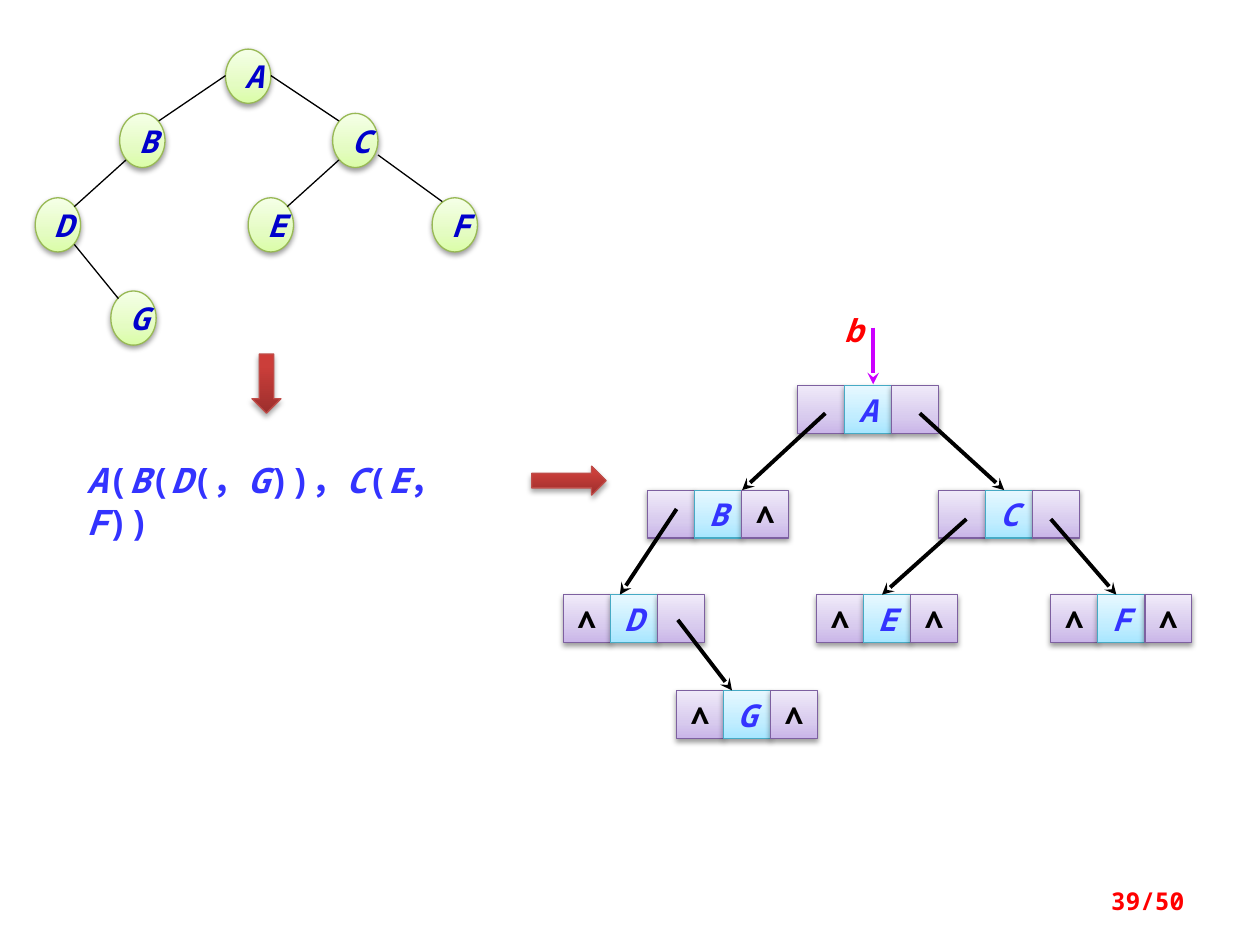
import itertools

import pptx
import pptx.dml.color
import pptx.enum.shapes
import pptx.enum.text
import pptx.oxml
import pptx.oxml.ns
import pptx.util

Inches, Pt = pptx.util.Inches, pptx.util.Pt
RGBColor = pptx.dml.color.RGBColor
MSO_SHAPE = pptx.enum.shapes.MSO_SHAPE
MSO_ANCHOR, PP_ALIGN = pptx.enum.text.MSO_ANCHOR, pptx.enum.text.PP_ALIGN
MSO_AUTO_SIZE = pptx.enum.text.MSO_AUTO_SIZE

FONT = "Noto Sans Mono"
BLACK = RGBColor(0x00, 0x00, 0x00)
RED = RGBColor(0xFF, 0x00, 0x00)
BLUE = RGBColor(0x33, 0x33, 0xFF)
NAVY = RGBColor(0x00, 0x00, 0xCC)
MAGENTA = RGBColor(0xCC, 0x00, 0xFF)
GREEN_LINE = RGBColor(0x98, 0xB9, 0x55)
PURPLE_LINE = RGBColor(0x7D, 0x60, 0xA0)
CYAN_LINE = RGBColor(0x46, 0xAA, 0xC5)
RED_LINE = RGBColor(0xBF, 0x4C, 0x48)


def stops(middle, *colours):
    """Pair three gradient colours with their positions in percent."""
    return list(zip((0, middle, 100), map(RGBColor.from_string, colours)))


# Each look: gradient stops, outline, shadow opacity (%), shadow distance (pt)
GREEN = (stops(35, "DAFDA7", "E4FCC2", "F5FFE7"), GREEN_LINE, 38, 1.6)
PURPLE = (stops(35, "C9B5E8", "D8CBEE", "F0EAF9"), PURPLE_LINE, 38, 1.6)
CYAN = (stops(35, "A7E6FF", "C1EDFF", "E7F8FF"), CYAN_LINE, 38, 1.6)
BRICK = (stops(80, "9C2F2D", "CB3E3A", "CE3B37"), RED_LINE, 35, 1.8)

CIRCLES = {"A": (1.79, 0.39), "G": (0.88, 2.31), "D": (0.28, 1.57), "F": (3.43, 1.57),
           "B": (0.95, 0.9), "E": (1.97, 1.57), "C": (2.64, 0.9)}
EDGES = [(0.59, 1.94, 0.94, 2.37), (1, 1.27, 0.59, 1.64), (3, 1.23, 3.51, 1.6),
         (2.69, 1.27, 2.28, 1.64), (1.79, 0.6, 1.26, 0.96), (2.15, 0.6, 2.69, 0.96)]

NULL = "\u2227"
CELL_W, CELL_H = 1.12 / 3, 0.38
# Left, top and the contents of the left link, data and right link cells
NODES = [(5.14, 3.89, ("", "B", NULL)), (4.47, 4.72, (NULL, "D", "")),
         (5.37, 5.48, (NULL, "G", NULL)), (7.45, 3.89, ("", "C", "")),
         (6.48, 4.72, (NULL, "E", NULL)), (8.34, 4.72, (NULL, "F", NULL)),
         (6.33, 3.06, ("", "A", ""))]
LINKS = [(5.37, 4.04, 4.92, 4.72), (7.67, 4.12, 7, 4.72), (8.34, 4.12, 8.86, 4.72),
         (6.55, 3.28, 5.89, 3.89), (7.3, 3.28, 7.97, 3.89)]


def xml(tag, body, attrs=""):
    """Parse one DrawingML element."""
    return pptx.oxml.parse_xml(
        f'<a:{tag} {pptx.oxml.ns.nsdecls("a")} {attrs}>{body}</a:{tag}>')


def style_run(r, size, colour, bold=True, italic=False):
    """Set the font of a run, for Latin and East Asian text."""
    f = r.font
    f.name, f.size, f.bold, f.italic = FONT, Pt(size), bold, italic
    f.color.rgb = colour
    r._r.get_or_add_rPr().find(pptx.oxml.ns.qn("a:latin")).addnext(
        xml("ea", "", f'typeface="{FONT}"'))


def write(sp, text, size, colour, italic=False, align=PP_ALIGN.CENTER):
    """Put one aligned paragraph in a shape."""
    p = sp.text_frame.paragraphs[0]
    p.text, p.alignment = text, align
    style_run(p.runs[0], size, colour, italic=italic)


def add_box(parent, kind, x, y, w, h, look):
    """Add a preset shape with gradient, outline and soft shadow."""
    gradient, outline, opacity, distance = look
    sp = parent.shapes.add_shape(kind, Inches(x), Inches(y), Inches(w), Inches(h))
    sp.fill.gradient()
    fill = sp._element.spPr.find(pptx.oxml.ns.qn("a:gradFill"))
    marks = "".join(f'<a:gs pos="{pos * 1000}"><a:srgbClr val="{c}"/></a:gs>'
                    for pos, c in gradient)
    fill.getparent().replace(fill, xml(
        "gradFill", f'<a:gsLst>{marks}</a:gsLst><a:lin ang="16200000" scaled="0"/>',
        'rotWithShape="1"'))
    sp.line.color.rgb, sp.line.width = outline, Pt(0.75)
    sp.shadow.inherit = False
    sp._element.spPr.find(pptx.oxml.ns.qn("a:effectLst")).append(xml(
        "outerShdw",
        f'<a:srgbClr val="000000"><a:alpha val="{opacity * 1000}"/></a:srgbClr>',
        f'blurRad="{Pt(3.1)}" dist="{Pt(distance)}" dir="5400000" rotWithShape="0"'))
    sp.text_frame.vertical_anchor = MSO_ANCHOR.MIDDLE
    return sp


def style_line(sp, colour, width, arrow):
    """Set stroke and optional arrowhead, without shadow."""
    sp.line.color.rgb, sp.line.width = colour, Pt(width)
    if arrow:
        sp.line._get_or_add_ln().append(xml("tailEnd", "", 'type="stealth"'))
    sp._element.spPr.append(xml("effectLst", ""))


def add_line(parent, ends, colour=BLACK, width=0.75, arrow=False):
    """Add a straight connector."""
    sp = parent.shapes.add_connector(pptx.enum.shapes.MSO_CONNECTOR.STRAIGHT,
                                     *map(Inches, ends))
    style_line(sp, colour, width, arrow)


def add_open_path(parent, start, end):
    """Add an open freeform arrow."""
    builder = parent.shapes.build_freeform(*map(Inches, start))
    builder.add_line_segments([tuple(map(Inches, end))], close=False)
    sp = builder.convert_to_shape()
    sp.fill.background()
    style_line(sp, BLACK, 2.25, True)


def add_text_box(parent, x, y, w, h):
    """Add an empty wrapping text box."""
    sp = parent.shapes.add_textbox(Inches(x), Inches(y), Inches(w), Inches(h))
    sp.text_frame.word_wrap = True
    return sp


def add_notation(s):
    """Write the bracket notation with italic node names."""
    tf = add_text_box(s, 0.59, 3.59, 3.47, 0.44).text_frame
    tf.auto_size = MSO_AUTO_SIZE.SHAPE_TO_FIT_TEXT
    for is_name, chars in itertools.groupby("A(B(D(，G))，C(E，F))", str.isalpha):
        r = tf.paragraphs[0].add_run()
        r.text = "".join(chars)
        style_run(r, 20, BLUE, italic=is_name)


def add_tree(s):
    """Draw the binary tree of circles."""
    tree = s.shapes.add_group_shape()
    for name, (x, y) in CIRCLES.items():
        sp = add_box(tree, MSO_SHAPE.OVAL, x, y, 0.36, 0.43, GREEN)
        write(sp, name, 18, NAVY, italic=True)
    for ends in EDGES:
        add_line(tree, ends)


def add_node(parent, x, y, cells):
    """Draw one linked node of three cells."""
    for i, text in enumerate(cells):
        is_data = i == 1
        sp = add_box(parent, MSO_SHAPE.RECTANGLE, x + i * CELL_W, y, CELL_W, CELL_H,
                     CYAN if is_data else PURPLE)
        sp.text_frame.word_wrap = False
        if text:
            write(sp, text, 18, BLUE if is_data else BLACK, italic=is_data)


def add_linked_storage(s):
    """Draw the linked nodes, their links and the root pointer."""
    storage = s.shapes.add_group_shape()
    for node in NODES:
        add_node(storage, *node)
    for ends in LINKS:
        add_line(storage, ends, width=2.25, arrow=True)
    add_open_path(storage, (5.38, 4.92), (5.81, 5.48))
    add_line(storage, (6.93, 2.6, 6.93, 3.05), MAGENTA, 2.25, True)
    root = add_text_box(storage, 6.44, 2.42, 0.67, 0.42)
    root.text_frame.auto_size = MSO_AUTO_SIZE.SHAPE_TO_FIT_TEXT
    write(root, "b", 18, RED, italic=True)
    add_box(storage, MSO_SHAPE.RIGHT_ARROW, 4.22, 3.7, 0.59, 0.23, BRICK)


def main():
    """Build and save the slide."""
    prs = pptx.Presentation()
    prs.slide_width, prs.slide_height = Inches(10), Inches(7.5)
    s = prs.slides.add_slide(prs.slide_layouts[6])
    add_notation(s)
    add_tree(s)
    add_box(s, MSO_SHAPE.DOWN_ARROW, 2, 2.81, 0.23, 0.47, BRICK)
    add_linked_storage(s)
    page = add_text_box(s, 7.17, 6.95, 2.33, 0.4)
    page.text_frame.vertical_anchor = MSO_ANCHOR.MIDDLE
    write(page, "39/50", 14, RED, align=PP_ALIGN.RIGHT)
    prs.save("out.pptx")


main()
